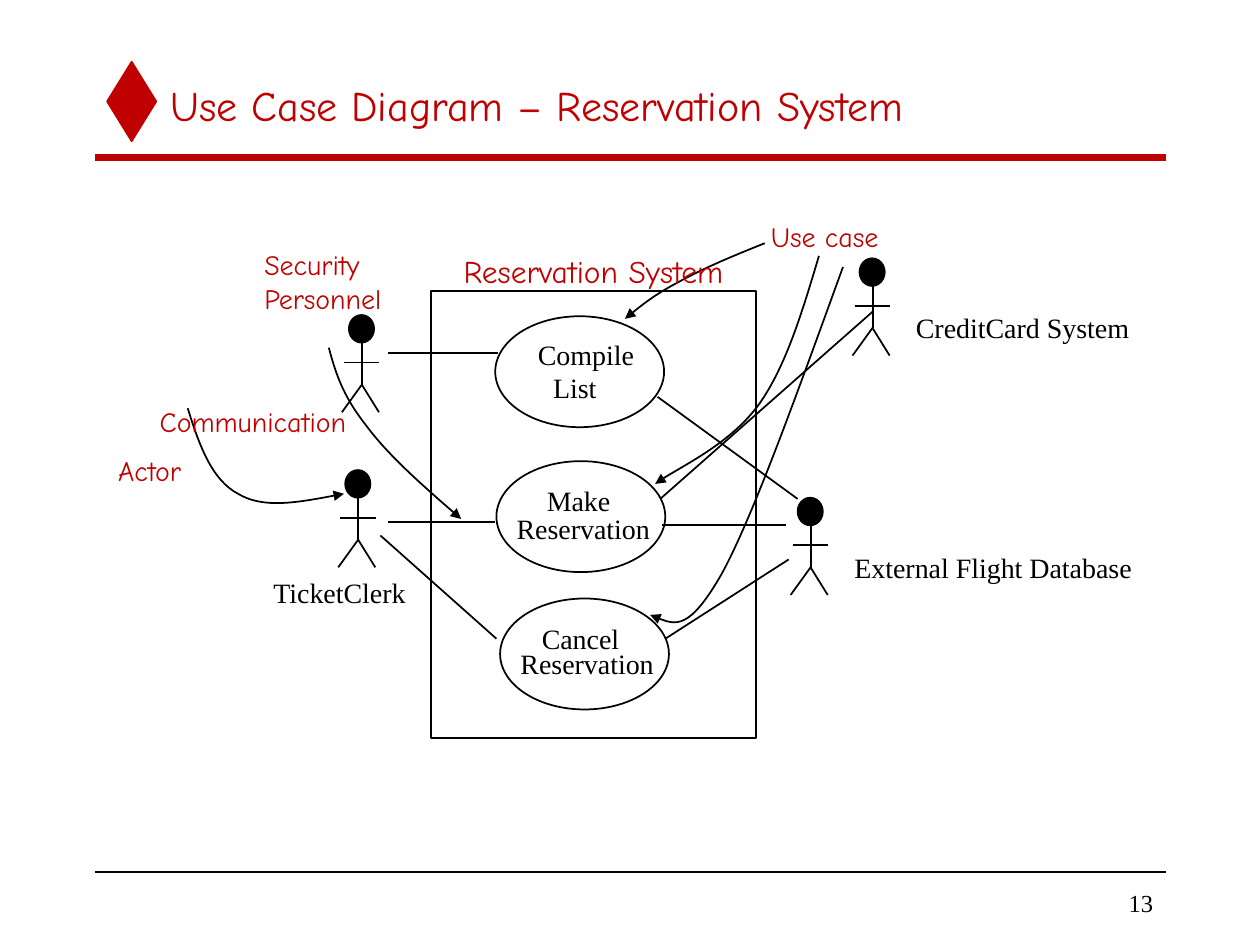
from lxml import etree
from pptx import Presentation
from pptx.dml.color import RGBColor
from pptx.enum.shapes import MSO_CONNECTOR, MSO_SHAPE
from pptx.enum.text import MSO_ANCHOR, MSO_AUTO_SIZE, PP_ALIGN
from pptx.oxml.ns import qn
from pptx.util import Pt

OVAL, RECT, GEM = MSO_SHAPE.OVAL, MSO_SHAPE.RECTANGLE, MSO_SHAPE.DIAMOND
STRAIGHT = MSO_CONNECTOR.STRAIGHT
MIDDLE = MSO_ANCHOR.MIDDLE
LEFT, RIGHT = PP_ALIGN.LEFT, PP_ALIGN.RIGHT
FIT, FIXED = MSO_AUTO_SIZE.SHAPE_TO_FIT_TEXT, MSO_AUTO_SIZE.NONE
RED, BLACK = "C00000", "000000"
COMIC, TIMES = "Comic Neue", "Times New Roman"


def paint(fill, tone):
    fill.solid()
    fill.fore_color.rgb = RGBColor.from_string(tone)


def write(frame, text, size, font, tone, align=LEFT):
    for i, line in enumerate(text.split("\n")):
        para = frame.add_paragraph() if i else frame.paragraphs[0]
        para.alignment = align
        run = para.add_run()
        run.text = line
        run.font.size = Pt(size)
        run.font.name = font
        paint(run.font.fill, tone)


deck = Presentation()
deck.slide_width, deck.slide_height = Pt(720), Pt(540)
slide = deck.slides.add_slide(deck.slide_layouts[5])
shapes = slide.shapes

# Title
title = shapes.title
title.left, title.top, title.width, title.height = Pt(90), Pt(36), Pt(576), Pt(48)
title.text_frame.vertical_anchor = MIDDLE
title.text_frame.auto_size = FIXED
write(title.text_frame, "Use Case Diagram – Reservation System", 24, COMIC, RED)

# Diamond, system boundary and use cases: kind, place, fill, line
blocks = [
    (GEM, 61.2, 35.3, 28.1, 45.4, RED, RED),
    (RECT, 246.2, 166.3, 185.8, 255.6, None, BLACK),
    (OVAL, 283, 180.7, 96.5, 63.4, None, BLACK),
    (OVAL, 283.7, 263.5, 96.5, 63.4, None, BLACK),
    (OVAL, 285.8, 342, 96.5, 63.4, None, BLACK),
]

# Rules and links between actors and use cases: from, to, colour, width
links = [
    (54, 90, 666, 90, RED, 4),
    (54, 498.2, 666, 498.2, BLACK, 1),
    (283.7, 365, 217.4, 306, BLACK, 1),
    (221.8, 298.1, 283, 298.1, BLACK, 1),
    (449.3, 300.2, 378, 300.2, BLACK, 1),
    (450.7, 319.7, 380.2, 365, BLACK, 1),
    (377.3, 285.1, 499, 177.8, BLACK, 1),
    (375.8, 226.8, 455.8, 285.1, BLACK, 1),
    (221.8, 201.6, 284.4, 201.6, BLACK, 1),
]

# Curved arrows, as start point and Bezier points
curves = [
    [(437, 139), (419, 146.2), (401.8, 153.4), (388.8, 160.6),
     (375.1, 167.8), (365.8, 175), (357.1, 182.2)],
    [(468, 146.2), (458.6, 177.8), (449.3, 208.8), (434.2, 230.4),
     (418.3, 252.7), (383.8, 269.3), (374.4, 276.5)],
    [(481.7, 152.6), (455.8, 223.9), (430.6, 294.5), (412.6, 327.6),
     (393.8, 360.7), (382.3, 356.4), (371.5, 351.4)],
    [(107.3, 233.3), (113.8, 254.2), (121, 274.3), (136.1, 282.2),
     (150.5, 290.9), (173.5, 286.6), (196.6, 282.2)],
    [(187.9, 198.7), (191.5, 212.4), (195.8, 226.1), (208.8, 242.6),
     (221, 259.2), (241.9, 277.9), (263.5, 296.6)],
]
paths = [(points, True) for points in curves]

# Stick figures, placed by the corner of the head
actors = [(197.3, 268.6), (455.8, 284.4), (491.2, 147.6), (199.4, 180)]
for x, y in actors:
    blocks.append((OVAL, x, y, 14.4, 15.8, BLACK, BLACK))
    links.append((x + 7.5, y + 15, x + 7.5, y + 40, BLACK, 1))
    links.append((x - 2.9, y + 27.2, x + 17.4, y + 27.2, BLACK, 1))
    legs = [(x + 17.2, y + 55.6), (x + 7.4, y + 39.8), (x - 4, y + 55.6)]
    paths.append((legs, False))

# Draw the blocks
for kind, x, y, w, h, fill, tone in blocks:
    block = shapes.add_shape(kind, Pt(x), Pt(y), Pt(w), Pt(h))
    block.shadow.inherit = False
    if fill:
        paint(block.fill, fill)
    else:
        block.fill.background()
    paint(block.line.fill, tone)
    block.line.width = Pt(1)

# Draw the straight lines
for x, y, to_x, to_y, tone, width in links:
    link = shapes.add_connector(STRAIGHT, Pt(x), Pt(y), Pt(to_x), Pt(to_y))
    paint(link.line.fill, tone)
    link.line.width = Pt(width)
    etree.SubElement(link._element.spPr, qn("a:effectLst"))

# Draw the legs and the curved arrows
for points, curved in paths:
    spots = [(Pt(x), Pt(y)) for x, y in points]
    pen = shapes.build_freeform(*spots[0])
    pen.add_line_segments(spots[1:], close=False)
    form = pen.convert_to_shape()
    form.shadow.inherit = False
    form.fill.background()
    paint(form.line.fill, BLACK)
    form.line.width = Pt(1)
    if curved:
        # Join each three line steps into one Bezier step
        steps = list(form._element.iter(qn("a:lnTo")))
        for i in range(0, len(steps), 3):
            bend = etree.Element(qn("a:cubicBezTo"))
            steps[i].addprevious(bend)
            for step in steps[i:i + 3]:
                bend.append(step[0])
                step.getparent().remove(step)
        edge = form.line._get_or_add_ln()
        etree.SubElement(edge, qn("a:tailEnd"), type="triangle")

# Labels: text, place, size, font, colour, inset; widths leave room for one line
labels = [
    ("Compile", 307.4, 193, 60.5, 19.4, 16, TIMES, BLACK, 0),
    ("List", 316.1, 211.7, 30, 19.4, 16, TIMES, BLACK, 0),
    ("Make", 312.5, 276.5, 45, 19.4, 16, TIMES, BLACK, 0),
    ("Reservation", 295.2, 292.3, 82, 19.4, 16, TIMES, BLACK, 0),
    ("Cancel", 309.6, 355, 50, 19.4, 16, TIMES, BLACK, 0),
    ("Reservation", 297.4, 369.4, 82, 19.4, 16, TIMES, BLACK, 0),
    ("External Flight Database", 488.2, 314.6, 165, 19.4, 16, TIMES, BLACK, 0),
    ("TicketClerk", 156.2, 329, 82, 19.4, 16, TIMES, BLACK, 0),
    ("CreditCard System", 523.4, 177.4, 128, 19.4, 16, TIMES, BLACK, 0),
    ("Use case", 433.4, 121.7, 82, 26.6, 16, COMIC, RED, 1),
    ("Actor", 60.5, 255.6, 56, 26.6, 16, COMIC, RED, 1),
    ("Communication", 84.2, 227.5, 127, 26.6, 16, COMIC, RED, 1),
    ("Reservation System", 257.8, 140.6, 170, 28.8, 18, COMIC, RED, 1),
    ("Security\nPersonnel", 144, 138.2, 88, 46.1, 16, COMIC, RED, 1),
]
for text, x, y, w, h, size, font, tone, inset in labels:
    frame = shapes.add_textbox(Pt(x), Pt(y), Pt(w), Pt(h)).text_frame
    frame.margin_left = frame.margin_right = Pt(7.2 * inset)
    frame.margin_top = frame.margin_bottom = Pt(3.6 * inset)
    frame.word_wrap = True
    frame.auto_size = FIT
    write(frame, text, size, font, tone)

# Page number
page = shapes.add_textbox(Pt(563.8), Pt(504), Pt(102.2), Pt(23.8)).text_frame
page.word_wrap = True
page.vertical_anchor = MIDDLE
write(page, "13", 14, TIMES, BLACK, RIGHT)

deck.save("out.pptx")
